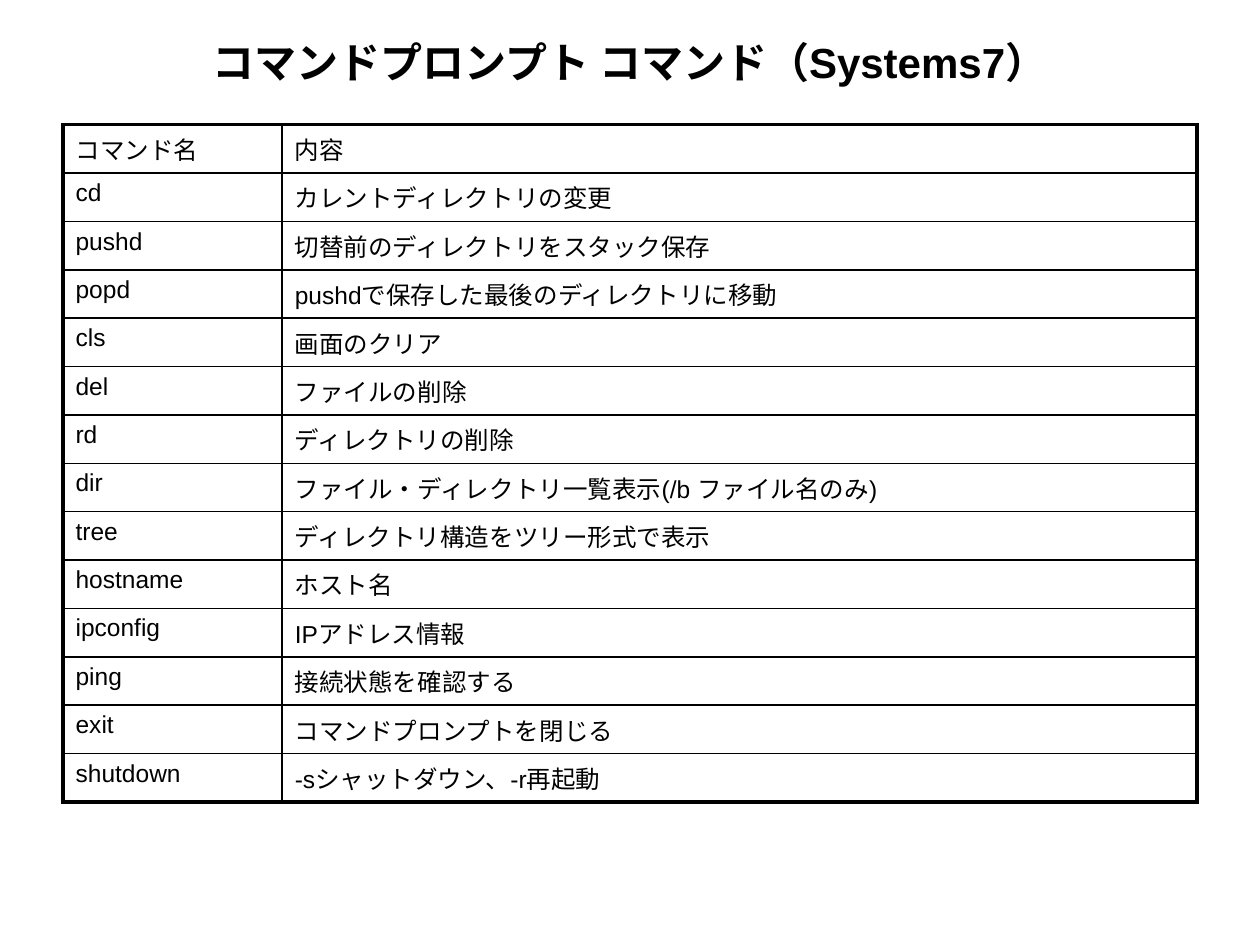
"""Build a one-slide reference table of command prompt commands."""
from lxml.etree import SubElement
from pptx import Presentation
from pptx.dml.color import RGBColor
from pptx.enum.text import MSO_ANCHOR, MSO_AUTO_SIZE, PP_ALIGN
from pptx.oxml.ns import qn
from pptx.util import Inches, Pt

TITLE = "コマンドプロンプト コマンド（Systems7）"
ROWS = [
    ("コマンド名", "内容"),
    ("cd", "カレントディレクトリの変更"),
    ("pushd", "切替前のディレクトリをスタック保存"),
    ("popd", "pushdで保存した最後のディレクトリに移動"),
    ("cls", "画面のクリア"),
    ("del", "ファイルの削除"),
    ("rd", "ディレクトリの削除"),
    ("dir", "ファイル・ディレクトリ一覧表示(/b ファイル名のみ)"),
    ("tree", "ディレクトリ構造をツリー形式で表示"),
    ("hostname", "ホスト名"),
    ("ipconfig", "IPアドレス情報"),
    ("ping", "接続状態を確認する"),
    ("exit", "コマンドプロンプトを閉じる"),
    ("shutdown", "-sシャットダウン、-r再起動"),
]
COLUMN_WIDTHS = (1.74, 7.26)
LEFT, TOP, WIDTH, HEIGHT = 0.5, 0.99, 9, 4.83
BLACK = "000000"
THIN, THICK = 1, 2.25


def color(value):
    return RGBColor.from_string(value)


def add_text(paragraph, text, size, bold=False):
    run = paragraph.add_run()
    run.text = text
    font = run.font
    font.name, font.size, font.bold = "Arial", Pt(size), bold
    font.color.rgb = color(BLACK)


def set_space_before(paragraph, percent):
    spacing = SubElement(paragraph._p.get_or_add_pPr(), qn("a:spcBef"))
    SubElement(spacing, qn("a:spcPct")).set("val", str(percent * 1000))


def set_borders(cell, widths):
    properties = cell._tc.get_or_add_tcPr()
    for side, width in widths.items():
        line = SubElement(properties, qn(f"a:ln{side}"))
        line.set("w", str(Pt(width)))
        fill = SubElement(line, qn("a:solidFill"))
        SubElement(fill, qn("a:srgbClr")).set("val", BLACK)


def add_title(slide):
    title = slide.shapes.title
    title.left, title.top = Inches(0.5), Inches(0.3)
    title.width, title.height = Inches(9), Inches(0.38)
    frame = title.text_frame
    frame.auto_size = MSO_AUTO_SIZE.NONE
    frame.vertical_anchor = MSO_ANCHOR.MIDDLE
    paragraph = frame.paragraphs[0]
    paragraph.alignment = PP_ALIGN.CENTER
    add_text(paragraph, TITLE, 24, bold=True)


def add_command_table(slide):
    last_row, last_column = len(ROWS) - 1, len(COLUMN_WIDTHS) - 1
    table = slide.shapes.add_table(
        len(ROWS), len(COLUMN_WIDTHS),
        Inches(LEFT), Inches(TOP), Inches(WIDTH), Inches(HEIGHT),
    ).table
    table.first_row = table.horz_banding = False
    for column, width in zip(table.columns, COLUMN_WIDTHS):
        column.width = Inches(width)
    for i, texts in enumerate(ROWS):
        for j, text in enumerate(texts):
            cell = table.cell(i, j)
            paragraph = cell.text_frame.paragraphs[0]
            set_space_before(paragraph, 20)
            add_text(paragraph, text, 14)
            set_borders(cell, {
                "L": THICK if j == 0 else THIN,
                "R": THICK if j == last_column else THIN,
                "T": THICK if i == 0 else THIN,
                "B": THICK if i == last_row else THIN,
            })
            cell.fill.background()


def main():
    presentation = Presentation()
    presentation.slide_width, presentation.slide_height = Inches(10), Inches(7.5)
    slide = presentation.slides.add_slide(presentation.slide_layouts[5])
    add_title(slide)
    add_command_table(slide)
    presentation.save("out.pptx")


if __name__ == "__main__":
    main()
